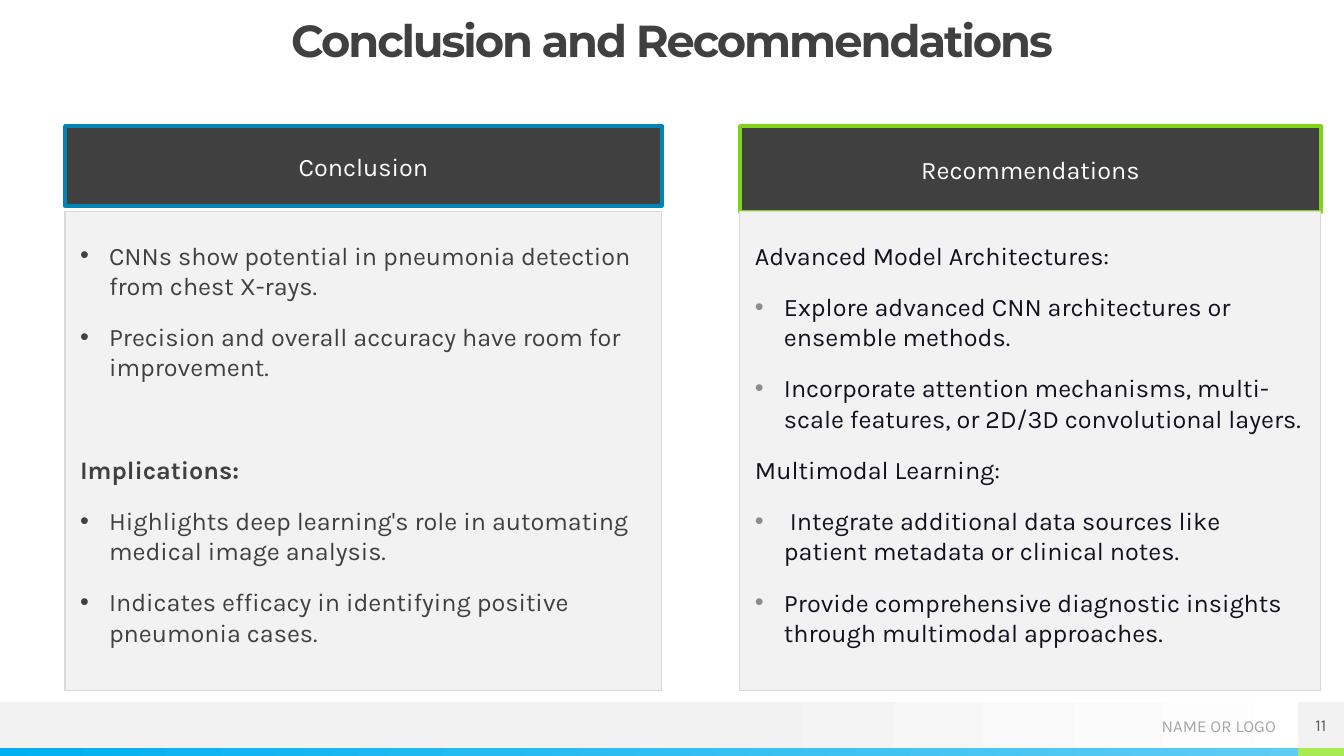
from dataclasses import dataclass

from lxml import etree
from pptx import Presentation
from pptx.dml.color import RGBColor
from pptx.enum.shapes import MSO_SHAPE
from pptx.enum.text import MSO_ANCHOR, PP_ALIGN
from pptx.oxml.ns import qn
from pptx.util import Emu, Pt

RECTANGLE = MSO_SHAPE.RECTANGLE
TOP, MIDDLE = MSO_ANCHOR.TOP, MSO_ANCHOR.MIDDLE
LEFT, CENTER, RIGHT = PP_ALIGN.LEFT, PP_ALIGN.CENTER, PP_ALIGN.RIGHT

EMU_PER_PX = 914400 / 100.8
PAGE_WIDTH, PAGE_HEIGHT = 1344, 756
HEADER_TOP, BODY_TOP, BODY_HEIGHT = 126, 212, 479
FOOTER_TOP, FOOTER_HEIGHT, STRIPE_HEIGHT = 702, 46, 8
NUMBER_LEFT = PAGE_WIDTH - FOOTER_HEIGHT
STRIPE_TOP = PAGE_HEIGHT - STRIPE_HEIGHT
BULLET_INDENT = 29


@dataclass(frozen=True)
class Theme:
    """Fonts, type sizes and colours of the slide."""
    heading_font: str = "Montserrat"
    body_font: str = "Karla"
    title_size: int = 32
    body_size: int = 18
    small_size: int = 12
    dark: str = "404040"
    ink: str = "12121E"
    white: str = "FFFFFF"
    panel: str = "F2F2F2"
    panel_edge: str = "D9D9D9"
    soft_bullet: str = "8C8C8C"
    footer_text: str = "A6A6A6"
    number_text: str = "595959"
    blue_edge: str = "0084B4"
    green_edge: str = "81D31A"
    stripe_start: str = "00B0F0"
    stripe_end: str = "5ECCF3"
    stripe_green: str = "A7EA52"


@dataclass(frozen=True)
class Item:
    """One paragraph of a panel."""
    text: str
    bullet: bool = True
    bold: bool = False
    before: float = 10


def px(length):
    """Turn pixels into EMU."""
    return Emu(round(length * EMU_PER_PX))


class SlideBuilder:
    """Draws styled elements on the current slide."""

    def __init__(self, page, theme):
        """Keep the slide and its style."""
        self.page = page
        self.theme = theme

    def rectangle(self, left, top, width, height, fill=None, edge=None, edge_width=1):
        """Add a rectangle with an optional fill and outline."""
        box = self.page.shapes.add_shape(RECTANGLE, *map(px, (left, top, width, height)))
        box.shadow.inherit = False
        if fill:
            box.fill.solid()
            box.fill.fore_color.rgb = RGBColor.from_string(fill)
        if edge:
            box.line.color.rgb = RGBColor.from_string(edge)
            box.line.width = Pt(edge_width)
        else:
            box.line.fill.background()
        return box

    def gradient_bar(self, left, top, width, height, stops):
        """Add a bar that fades from left to right."""
        bar = self.rectangle(left, top, width, height)
        bar.fill.gradient()
        bar.fill.gradient_angle = 0
        for stop, (position, color) in zip(bar.fill.gradient_stops, stops):
            stop.position = position
            stop.color.rgb = RGBColor.from_string(color)

    def text_box(self, left, top, width, height):
        """Add an empty text box."""
        return self.page.shapes.add_textbox(*map(px, (left, top, width, height)))

    def set_frame(self, box, anchor=MIDDLE, insets=(0, 0, 0, 0)):
        """Set wrapping, anchor and insets, and return the text frame."""
        frame = box.text_frame
        frame.word_wrap = True
        frame.vertical_anchor = anchor
        frame.margin_left, frame.margin_top, frame.margin_right, frame.margin_bottom = map(px, insets)
        return frame

    def set_text(self, para, text, size, color, align=LEFT, font=None, bold=False):
        """Fill a paragraph with styled text."""
        para.add_run().text = text
        para.alignment = align
        para.font.name = font or self.theme.body_font
        para.font.size = Pt(size)
        para.font.bold = bold
        para.font.color.rgb = RGBColor.from_string(color)

    def space(self, para, before=10, after=5):
        """Set the space around a paragraph."""
        para.space_before = Pt(before)
        para.space_after = Pt(after)

    def bullet(self, para, color):
        """Give a paragraph a hanging bullet."""
        properties = para._p.get_or_add_pPr()
        properties.set("marL", str(px(BULLET_INDENT)))
        properties.set("indent", str(-px(BULLET_INDENT)))
        defaults = properties.find(qn("a:defRPr"))
        bullet_color = etree.Element(qn("a:buClr"))
        etree.SubElement(bullet_color, qn("a:srgbClr"), val=color)
        defaults.addprevious(bullet_color)
        defaults.addprevious(etree.Element(qn("a:buFont"), typeface="Arial"))
        defaults.addprevious(etree.Element(qn("a:buChar"), char="•"))

    def title(self, text):
        """Add the slide title."""
        theme = self.theme
        frame = self.set_frame(self.text_box(47, 19, 1250, 47), TOP)
        para = frame.paragraphs[0]
        self.set_text(para, text, theme.title_size, theme.dark, CENTER, theme.heading_font, True)
        para.line_spacing = 0.9
        para.runs[0]._r.get_or_add_rPr().set("spc", "-150")

    def header(self, text, left, width, height, edge):
        """Add the dark heading of a column."""
        theme = self.theme
        box = self.rectangle(left, HEADER_TOP, width, height, theme.dark, edge, 2.5)
        para = self.set_frame(box, MIDDLE, (12, 4, 12, 4)).paragraphs[0]
        self.set_text(para, text, theme.body_size, theme.white, CENTER)
        self.space(para)

    def panel(self, items, left, width, color, bullet_color):
        """Add the light panel of a column with its paragraphs."""
        theme = self.theme
        box = self.rectangle(left, BODY_TOP, width, BODY_HEIGHT, theme.panel, theme.panel_edge, 0.75)
        frame = self.set_frame(box, TOP, (15, 28, 15, 0))
        for index, item in enumerate(items):
            para = frame.add_paragraph() if index else frame.paragraphs[0]
            self.set_text(para, item.text, theme.body_size, color, bold=item.bold)
            self.space(para, item.before)
            if item.bullet:
                self.bullet(para, bullet_color)

    def label(self, box, text, color, align):
        """Put a small footer label into a box."""
        para = self.set_frame(box).paragraphs[0]
        self.set_text(para, text, self.theme.small_size, color, align)

    def footer(self, name, number):
        """Add the footer bands, the name and the slide number."""
        theme = self.theme
        self.gradient_bar(0, FOOTER_TOP, PAGE_WIDTH, FOOTER_HEIGHT,
                          ((0.53, theme.panel), (1, theme.white)))
        self.gradient_bar(0, STRIPE_TOP, NUMBER_LEFT, STRIPE_HEIGHT,
                          ((0, theme.stripe_start), (1, theme.stripe_end)))
        self.rectangle(NUMBER_LEFT, STRIPE_TOP, FOOTER_HEIGHT, STRIPE_HEIGHT, theme.stripe_green)
        self.label(self.text_box(1050, FOOTER_TOP, 226, 47), name, theme.footer_text, RIGHT)
        number_box = self.rectangle(NUMBER_LEFT, FOOTER_TOP, FOOTER_HEIGHT, FOOTER_HEIGHT, theme.panel)
        self.label(number_box, number, theme.number_text, CENTER)


CONCLUSIONS = (
    Item("CNNs show potential in pneumonia detection from chest X-rays."),
    Item("Precision and overall accuracy have room for improvement."),
    Item("Implications:", bullet=False, bold=True, before=46.5),
    Item("Highlights deep learning's role in automating medical image analysis."),
    Item("Indicates efficacy in identifying positive pneumonia cases."),
)
RECOMMENDATIONS = (
    Item("Advanced Model Architectures:", bullet=False),
    Item("Explore advanced CNN architectures or ensemble methods."),
    Item("Incorporate attention mechanisms, multi-scale features, or 2D/3D convolutional layers."),
    Item("Multimodal Learning:", bullet=False),
    Item(" Integrate additional data sources like patient metadata or clinical notes."),
    Item("Provide comprehensive diagnostic insights through multimodal approaches."),
)


def main():
    """Build the slide and save it."""
    deck = Presentation()
    deck.slide_width, deck.slide_height = px(PAGE_WIDTH), px(PAGE_HEIGHT)
    theme = Theme()
    builder = SlideBuilder(deck.slides.add_slide(deck.slide_layouts[6]), theme)
    builder.footer("NAME OR LOGO", "11")
    builder.title("Conclusion and Recommendations")
    builder.header("Conclusion", 65, 597, 80, theme.blue_edge)
    builder.panel(CONCLUSIONS, 65, 597, theme.dark, theme.dark)
    builder.header("Recommendations", 740, 581, 86, theme.green_edge)
    builder.panel(RECOMMENDATIONS, 740, 581, theme.ink, theme.soft_bullet)
    deck.save("out.pptx")


if __name__ == "__main__":
    main()
